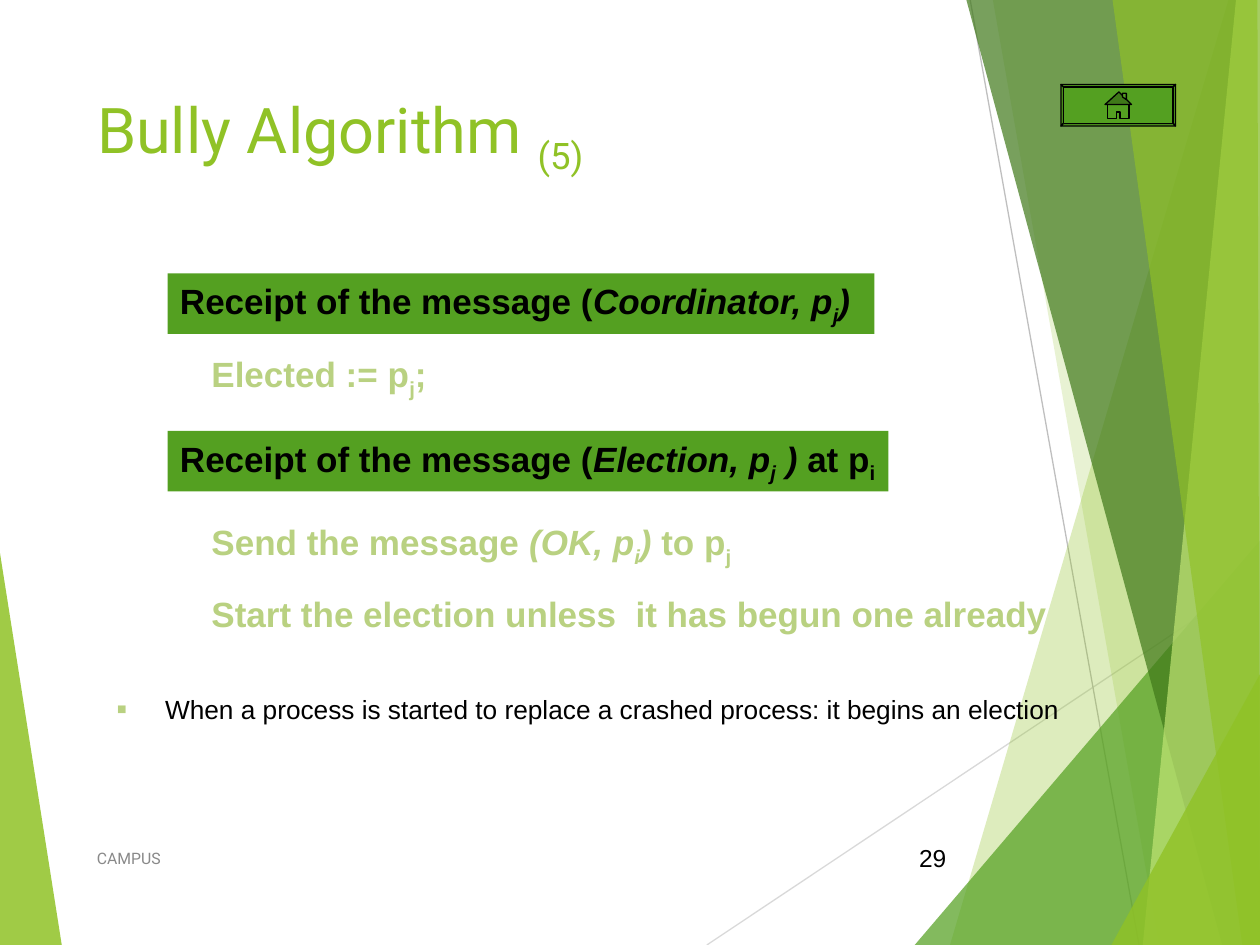
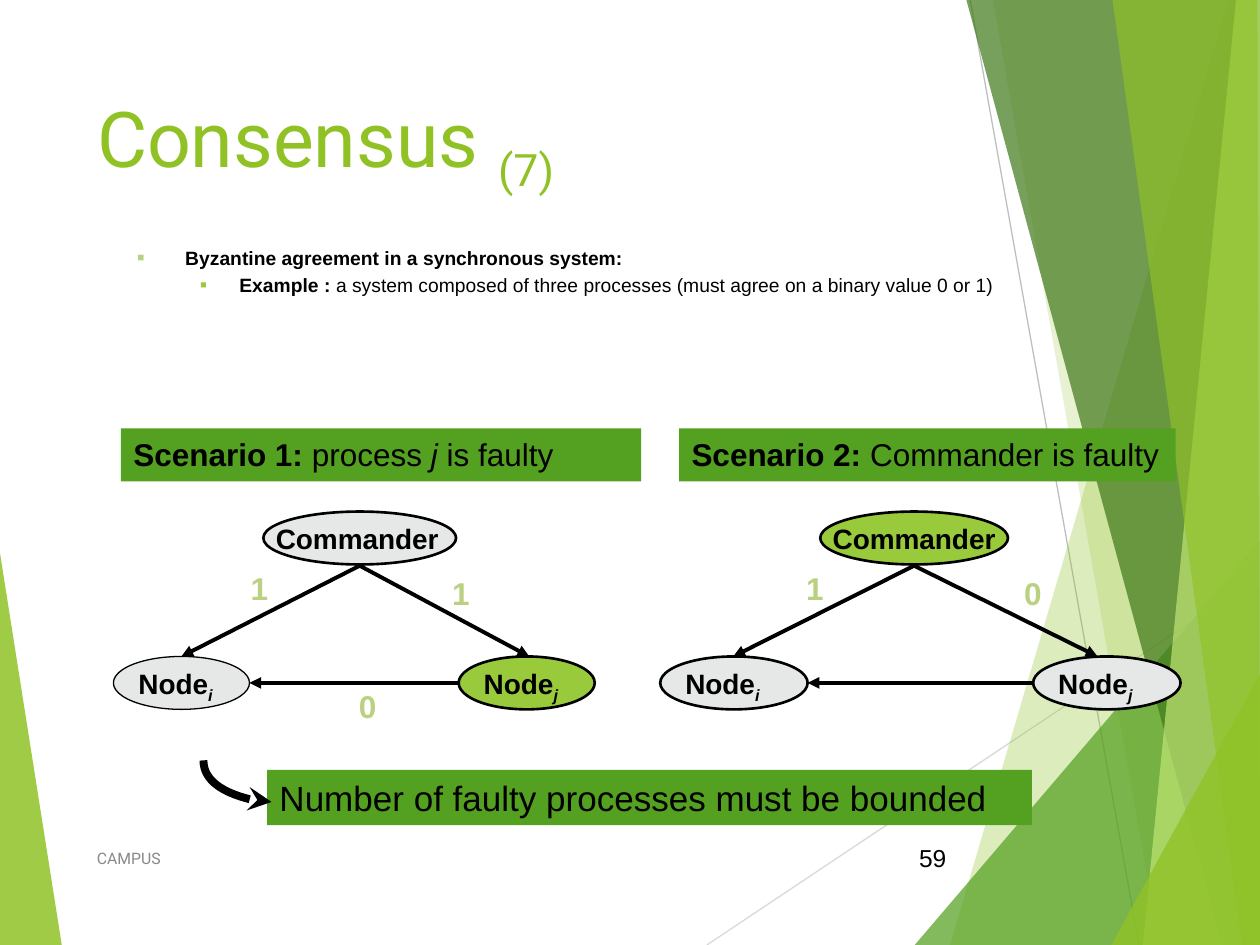
from dataclasses import dataclass

from lxml import etree
from pptx import Presentation
from pptx.dml.color import RGBColor
from pptx.enum.shapes import MSO_CONNECTOR, MSO_SHAPE
from pptx.enum.text import MSO_ANCHOR, MSO_AUTO_SIZE, PP_ALIGN
from pptx.oxml.ns import qn
from pptx.util import Inches, Pt

LINE, CURVE = MSO_CONNECTOR.STRAIGHT, MSO_CONNECTOR.CURVE
RECT, OVAL = MSO_SHAPE.RECTANGLE, MSO_SHAPE.OVAL
TOP, MIDDLE = MSO_ANCHOR.TOP, MSO_ANCHOR.MIDDLE
LEFT, RIGHT, JUSTIFY = PP_ALIGN.LEFT, PP_ALIGN.RIGHT, PP_ALIGN.JUSTIFY


@dataclass(frozen=True)
class Theme:
    lime: str = "90C226"
    leaf: str = "99CA3C"
    green: str = "54A021"
    forest: str = "3F7819"
    mint: str = "C0E474"
    pale: str = "B9D181"
    ink: str = "000000"
    grey: str = "898989"
    node: str = "E6E8E8"
    head_font: str = "Roboto"
    text_font: str = "Arial"
    code_size: int = 20
    scenario_size: int = 18
    label_size: int = 16
    page_size: int = 14
    footer_size: int = 9


T = Theme()

# Run formats: b bold, i italic, base subscript
B, I, PLAIN = {"b": True}, {"i": True}, {}
BI = {"b": True, "i": True}
SUB, BSUB, BISUB = ({**f, "base": -25} for f in (PLAIN, B, BI))

# ---- Shared content ----
FOOTER = "CAMPUS"
TITLE_BOX = (0.67, 0.67, 6.94, 1.44)
FOOTER_BOX = (0.67, 6.61, 5.06, 0.4)
PAGE_BOX = (7.05, 6.61, 0.56, 0.4)
RAYS = [((5.61, 7.5), (10, 4.57), "D9D9D9"), ((7.7, 0), (9.04, 7.5), "BFBFBF")]
BANDS = [  # colour, opacity in percent, corners
    (T.lime, 30, [(9.75, 0), (7.54, 7.5), (10, 7.5), (10, 0)]),
    (T.lime, 20, [(7.88, 0), (9.2, 7.5), (10, 7.5), (10, 0)]),
    (T.green, 72, [(7.26, 7.5), (10, 4.29), (10, 7.5)]),
    (T.forest, 70, [(7.67, 0), (9.7, 7.5), (10, 7.5), (10, 0)]),
    (T.mint, 70, [(9.81, 0), (9.07, 7.5), (10, 7.5), (10, 0)]),
    (T.lime, 65, [(8.83, 0), (9.86, 7.5), (10, 7.5), (9.98, 0)]),
    (T.lime, 80, [(8.82, 7.5), (10, 5.35), (10, 7.5)]),
    (T.lime, 85, [(0, 4.39), (0.49, 7.5), (0, 7.5)]),
]

# ---- Slide 1 content ----
BULLY = {
    "title": "Bully Algorithm ", "part": "(5)", "size": 36, "page": "29",
    "body_box": (0.83, 5.5, 8.5, 0.58), "body_size": 15, "space": 6,
    "body": [[("When a process is started to replace a crashed process: "
               "it begins an election", PLAIN)]],
}
RECEIPTS = [
    ((1.33, 2.17, 5.61, 0.48), [("Receipt of the message (", B), ("Coordinator, p", BI),
                                ("j", BISUB), (")", BI)]),
    ((1.33, 3.42, 5.72, 0.48), [("Receipt of the message (", B), ("Election, p", BI),
                                ("j", BISUB), (" )", BI), (" at p", B), ("i", BSUB)]),
]
ACTIONS = [
    (2.75, [("Elected := p", B), ("j", BSUB), (";", B)]),
    (4.08, [("Send the message ", B), ("(OK, p", BI), ("i", BISUB), (")", BI),
            (" to p", B), ("j", BSUB)]),
    (4.65, [("Start the election unless  it has begun one already", B)]),
]
BUTTON = (8.42, 0.67, 9.33, 1.0)  # left, top, right, bottom
BEVEL = 0.02
HOUSE = [
    (T.green, [(8.79, 0.83), (8.96, 0.83), (8.96, 0.94), (8.89, 0.94), (8.89, 0.89),
               (8.86, 0.89), (8.86, 0.94), (8.79, 0.94)]),
    (T.forest, [(8.88, 0.73), (8.98, 0.83), (8.77, 0.83)]),
    (T.green, [(8.91, 0.77), (8.91, 0.74), (8.94, 0.74), (8.94, 0.79)]),
]

# ---- Slide 2 content ----
CONSENSUS = {
    "title": "Consensus ", "part": "(7)", "size": 44, "page": "59",
    "body_box": (0.99, 1.94, 8.5, 0.58), "body_size": 11, "space": 5,
    "body": [[("Byzantine agreement in a synchronous system:", B)],
             [("Example :", B), (" a system composed of three processes "
                                 "(must agree on a binary value 0 or 1)", PLAIN)]],
}
SCENARIOS = [
    {"bar": (0.96, 4.13),
     "head": [("Scenario 1:", B), (" process ", PLAIN), ("j", I), (" is faulty", PLAIN)],
     "commander": (2.09, 1.53, T.node),
     "nodes": [("i", 0.9, T.node, 0.75, 1.44), ("j", 3.64, T.leaf, 1.5, 4.2)],
     "node_width": 1.08,
     "values": [("1", 1.89, 4.47), ("1", 3.49, 4.51), ("0", 2.75, 5.4)]},
    {"bar": (5.39, 3.94),
     "head": [("Scenario 2:", B), (" Commander is faulty", PLAIN)],
     "commander": (6.51, 1.49, T.leaf),
     "nodes": [("i", 5.24, T.node, 1.5, 5.82), ("j", 8.2, T.node, 1.5, 8.71)],
     "node_width": 1.17,
     "values": [("1", 6.3, 4.47), ("0", 8.03, 4.51)]},
]
BAR_Y, COMMANDER_Y, NODE_Y, OVAL_H = 3.4, 4.06, 5.21, 0.42
CONCLUSION = [("Number of faulty processes must be bounded", PLAIN)]
BULLETS = [  # margin, indent, colour, size in percent
    (0.38, -0.38, T.pale, 60),
    (0.81, -0.31, T.leaf, 55),
]


# ---- Helpers ----
def rgb(hex_code):
    return RGBColor.from_string(hex_code)


def place(sp, box):
    for name, value in zip(("left", "top", "width", "height"), box):
        setattr(sp, name, Inches(value))


def sub(parent, tag, **attrs):
    return etree.SubElement(parent, qn(tag), attrs)


def add_runs(p, runs, size, color=T.ink, font=T.text_font):
    for text, fmt in runs:
        r = p.add_run()
        r.text = text
        values = {"name": font, "size": Pt(size),
                  "bold": fmt.get("b", False), "italic": fmt.get("i", False)}
        for name, value in values.items():
            setattr(r.font, name, value)
        r.font.color.rgb = rgb(color)
        if "base" in fmt:
            r._r.get_or_add_rPr().set("baseline", str(fmt["base"] * 1000))


def write(sp, runs, size, color=T.ink, font=T.text_font, align=LEFT, anchor=TOP, wrap=True):
    tf = sp.text_frame
    frame = {"word_wrap": wrap, "auto_size": MSO_AUTO_SIZE.NONE, "vertical_anchor": anchor}
    for name, value in frame.items():
        setattr(tf, name, value)
    p = tf.paragraphs[0]
    p.alignment = align
    add_runs(p, runs, size, color, font)


def add_text(slide, box, runs, size, **fmt):
    write(slide.shapes.add_textbox(*map(Inches, box)), runs, size, **fmt)


def paint(sp, fill, line=None, width=0.75):
    sp.shadow.inherit = False
    sp.fill.solid()
    sp.fill.fore_color.rgb = rgb(fill)
    if line:
        sp.line.color.rgb = rgb(line)
        sp.line.width = Pt(width)
    else:
        sp.line.fill.background()


def add_shape(slide, kind, box, fill, **outline):
    sp = slide.shapes.add_shape(kind, *map(Inches, box))
    paint(sp, fill, **outline)
    return sp


def add_bar(slide, box, runs, size, **fmt):
    write(add_shape(slide, RECT, box, T.green), runs, size, **fmt)


def add_polygon(slide, points, fill, **outline):
    corners = [(Inches(x), Inches(y)) for x, y in points]
    builder = slide.shapes.build_freeform(*corners[0])
    builder.add_line_segments(corners[1:], close=True)
    sp = builder.convert_to_shape()
    paint(sp, fill, **outline)
    return sp


def add_line(slide, start, end, color=T.ink, width=2.25, head=None, kind=LINE):
    sp = slide.shapes.add_connector(kind, *map(Inches, start + end))
    sp.line.color.rgb = rgb(color)
    sp.line.width = Pt(width)
    if head:
        sub(sp.line._get_or_add_ln(), "a:tailEnd", type=head)
    sub(sp.element.spPr, "a:effectLst")
    return sp


# ---- Shared slide parts ----
def decorate_master(prs, slide):
    parts = [add_line(slide, a, b, color, 0.75) for a, b, color in RAYS]
    for color, opacity, points in BANDS:
        sp = add_polygon(slide, points, color)
        clr = sp.element.spPr.find(qn("a:solidFill")).find(qn("a:srgbClr"))
        sub(clr, "a:alpha", val=str(opacity * 1000))
        parts.append(sp)
    tree = prs.slide_master.element.cSld.spTree
    for i, sp in enumerate(parts):
        sp.element.xpath(".//p:cNvPr")[0].set("id", str(100 + i))
        tree.insert(2 + i, sp.element)


def add_body(body, content):
    place(body, content["body_box"])
    tf = body.text_frame
    tf.auto_size = MSO_AUTO_SIZE.NONE
    for level, runs in enumerate(content["body"]):
        p = tf.add_paragraph() if level else tf.paragraphs[0]
        values = {"level": level, "alignment": JUSTIFY, "line_spacing": 0.8,
                  "space_before": Pt(content["space"])}
        for name, value in values.items():
            setattr(p, name, value)
        margin, indent, color, percent = BULLETS[level]
        pPr = p._p.get_or_add_pPr()
        pPr.set("marL", str(Inches(margin)))
        pPr.set("indent", str(Inches(indent)))
        sub(sub(pPr, "a:buClr"), "a:srgbClr", val=color)
        sub(pPr, "a:buSzPct", val=str(percent * 1000))
        sub(pPr, "a:buFont", typeface=T.text_font)
        sub(pPr, "a:buChar", char="■")
        add_runs(p, runs, content["body_size"])


def add_slide(prs, content):
    slide = prs.slides.add_slide(prs.slide_layouts[1])
    title, body = slide.placeholders
    place(title, TITLE_BOX)
    write(title, [(content["title"], PLAIN), (content["part"], SUB)], content["size"],
          color=T.lime, font=T.head_font)
    add_body(body, content)
    add_text(slide, PAGE_BOX, [(content["page"], PLAIN)], T.page_size,
             align=RIGHT, anchor=MIDDLE)
    add_text(slide, FOOTER_BOX, [(FOOTER, PLAIN)], T.footer_size,
             color=T.grey, font=T.head_font, anchor=MIDDLE)
    return slide


# ---- Slide 1 parts ----
def add_home_button(slide):
    x1, y1, x2, y2 = BUTTON
    outer = [(x1, y1), (x2, y1), (x2, y2), (x1, y2)]
    inner = [(x1 + BEVEL, y1 + BEVEL), (x2 - BEVEL, y1 + BEVEL),
             (x2 - BEVEL, y2 - BEVEL), (x1 + BEVEL, y2 - BEVEL)]
    edges = [[outer[i], outer[i - 1], inner[i - 1], inner[i]] for i in range(4)]
    for color, points in [(T.green, e) for e in edges + [inner]] + HOUSE:
        add_polygon(slide, points, color, line=T.ink)


def fill_bully(slide):
    for box, runs in RECEIPTS:
        add_bar(slide, box, runs, T.code_size, wrap=False)
    for y, runs in ACTIONS:
        add_text(slide, (1.58, y, 7.83, 0.48), runs, T.code_size, color=T.pale)
    add_home_button(slide)


# ---- Slide 2 parts ----
def add_scenario(slide, sc):
    x, width = sc["bar"]
    add_bar(slide, (x, BAR_Y, width, OVAL_H), sc["head"], T.scenario_size, align=JUSTIFY)

    x, width, fill = sc["commander"]
    add_shape(slide, OVAL, (x, COMMANDER_Y, width, OVAL_H), fill, line=T.ink, width=1.5)
    add_text(slide, (x, COMMANDER_Y + 0.03, 1.49, 0.37), [("Commander", B)],
             T.label_size, wrap=False)
    source = (x + width / 2, COMMANDER_Y + OVAL_H + 0.01)

    node_w = sc["node_width"]
    for name, x, fill, outline, tip in sc["nodes"]:
        add_shape(slide, OVAL, (x, NODE_Y, node_w, OVAL_H), fill, line=T.ink, width=outline)
        add_text(slide, (x + 0.1, NODE_Y + 0.03, 0.79, 0.41),
                 [("Node", B), (name, BISUB)], T.label_size, wrap=False)
        add_line(slide, source, (tip, NODE_Y), head="triangle")
    (_, left, *_), (_, right, *_) = sc["nodes"]
    y = NODE_Y + OVAL_H / 2
    add_line(slide, (right, y), (left + node_w, y), head="triangle")

    for value, x, y in sc["values"]:
        add_text(slide, (x, y, 0.34, 0.4), [(value, B)], T.scenario_size,
                 color=T.pale, wrap=False)


def fill_consensus(slide):
    for sc in SCENARIOS:
        add_scenario(slide, sc)
    add_bar(slide, (2.12, 6.11, 6.07, 0.44), CONCLUSION, T.code_size, align=JUSTIFY)
    # Quarter-turn curve that starts downwards and ends at the bar
    sp = add_line(slide, (1.72, 5.93), (2.05, 6.47), width=4.5, head="stealth", kind=CURVE)
    xfrm = sp.element.spPr.find(qn("a:xfrm"))
    xfrm.set("rot", str(270 * 60000))
    xfrm.set("flipH", "1")
    sp.element.spPr.find(qn("a:prstGeom")).set("prst", "curvedConnector2")


def main():
    prs = Presentation()
    prs.slide_width, prs.slide_height = Inches(10), Inches(7.5)
    bully = add_slide(prs, BULLY)
    decorate_master(prs, bully)
    fill_bully(bully)
    fill_consensus(add_slide(prs, CONSENSUS))
    prs.save("out.pptx")


if __name__ == "__main__":
    main()
